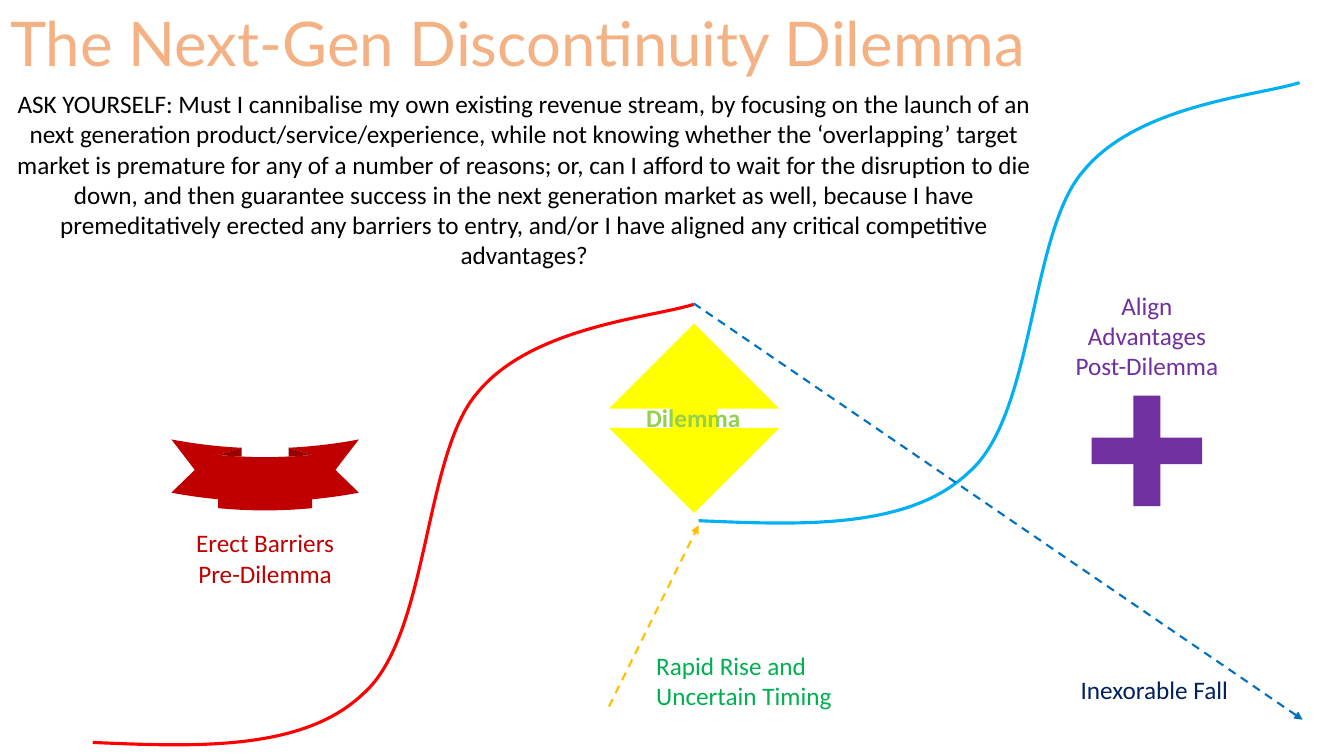
from collections import namedtuple

from lxml import etree
from pptx import Presentation
from pptx.dml.color import RGBColor
from pptx.enum.dml import MSO_LINE
from pptx.enum.shapes import MSO_CONNECTOR, MSO_SHAPE
from pptx.enum.text import MSO_ANCHOR, PP_ALIGN
from pptx.oxml.ns import qn
from pptx.util import Inches, Pt

LEFT, CENTER = PP_ALIGN.LEFT, PP_ALIGN.CENTER
TOP = MSO_ANCHOR.TOP
DASH = MSO_LINE.DASH
STRAIGHT = MSO_CONNECTOR.STRAIGHT
DOUBLE_ARROW = MSO_SHAPE.UP_DOWN_ARROW
PLUS = MSO_SHAPE.CROSS
RIBBON = MSO_SHAPE.CURVED_DOWN_RIBBON
TITLE_ONLY = 5

COLORS = {
    "title": "F4B183", "question": "000000", "current": "FF0000", "next": "00B0F0",
    "rise": "FFC000", "rise_label": "00B050", "fall": "0070C0", "fall_label": "002060",
    "dilemma": "FFFF00", "dilemma_label": "92D050", "advantages": "7030A0", "barriers": "C00000",
}
QUESTION = (
    "ASK YOURSELF: Must I cannibalise my own existing revenue stream, by focusing on the "
    "launch of an next generation product/service/experience, while not knowing whether the "
    "‘overlapping’ target market is premature for any of a number of reasons; or, can I afford "
    "to wait for the disruption to die down, and then guarantee success in the next generation "
    "market as well, because I have premeditatively erected any barriers to entry, and/or I have "
    "aligned any critical competitive advantages?"
)
# Start point, then two control points and an end point per segment, as shares of the box
S_CURVE = [
    (0, 0.99), (0.17, 1), (0.35, 1.01), (0.45, 0.88), (0.56, 0.75),
    (0.55, 0.34), (0.64, 0.2), (0.73, 0.05), (0.93, 0.03), (1, 0),
]


class Box(namedtuple("Box", "left top width height")):
    def point(self, across, down):
        return (Inches(self.left + across * self.width), Inches(self.top + down * self.height))

    def inner(self, left, top, width, height):
        """Return an inner box given as shares of this one."""
        return Box(self.left + left * self.width, self.top + top * self.height,
                   width * self.width, height * self.height)

    def lengths(self):
        return [Inches(length) for length in self]


def color(name):
    return RGBColor.from_string(COLORS[name])


def write(shape, text, name, size=18, font="Calibri", align=LEFT, bold=False):
    frame = shape.text_frame
    frame.word_wrap = True
    frame.vertical_anchor = TOP
    paragraph = frame.paragraphs[0]
    paragraph.alignment = align
    paragraph.line_spacing = 1.0
    run = paragraph.add_run()
    run.text = text
    run.font.size = Pt(size)
    run.font.name = font
    run.font.bold = bold
    run.font.color.rgb = color(name)


def add_label(slide, box, text, name, **text_format):
    write(slide.shapes.add_textbox(*box.lengths()), text, name, **text_format)


def add_symbol(slide, box, preset, name, adjustments=()):
    shape = slide.shapes.add_shape(preset, *box.lengths())
    shape.shadow.inherit = False
    shape.fill.solid()
    shape.fill.fore_color.rgb = color(name)
    shape.line.fill.background()
    for index, value in enumerate(adjustments):
        shape.adjustments[index] = value


def add_header(slide, box):
    title = slide.shapes.title
    title.left, title.top, title.width, title.height = box.inner(0, 0, 1, 0.3).lengths()
    write(title, "The Next-Gen Discontinuity Dilemma", "title", size=44, font="Lato")
    add_label(slide, box.inner(0, 0.3, 0.78, 0.7), QUESTION, "question", align=CENTER)


def add_s_curve(slide, box, name):
    points = [box.point(*share) for share in S_CURVE]
    builder = slide.shapes.build_freeform(*points[0])
    builder.add_line_segments(points[1:], close=False)
    curve = builder.convert_to_shape()
    curve.shadow.inherit = False
    curve.fill.background()
    curve.line.color.rgb = color(name)
    curve.line.width = Pt(2.25)
    # Every three straight segments become one cubic Bézier segment
    segments = list(curve.element.iter(qn("a:lnTo")))
    outline = segments[0].getparent()
    for first in range(0, len(segments), 3):
        bezier = etree.SubElement(outline, qn("a:cubicBezTo"))
        for segment in segments[first:first + 3]:
            bezier.append(segment[0])
            outline.remove(segment)


def add_dashed_arrow(slide, box, name, rising=False):
    """Draw an arrow across the box, from its left edge to its right edge."""
    start, end = (1, 0) if rising else (0, 1)
    arrow = slide.shapes.add_connector(STRAIGHT, *box.point(0, start), *box.point(1, end))
    arrow.line.color.rgb = color(name)
    arrow.line.width = Pt(1.5)
    arrow.line.dash_style = DASH
    outline = arrow.element.find(".//" + qn("a:ln"))
    etree.SubElement(outline, qn("a:tailEnd"), type="triangle")
    etree.SubElement(outline.getparent(), qn("a:effectLst"))


def add_dilemma(slide, box):
    add_symbol(slide, box, DOUBLE_ARROW, "dilemma", (0.41, 0.27))
    add_label(slide, box.inner(0.16, 0.39, 0.69, 0.21), "Dilemma", "dilemma_label", bold=True)


def add_advantages(slide, box):
    add_symbol(slide, box.inner(0.19, 0.5, 0.62, 0.5), PLUS, "advantages", (0.38,))
    add_label(slide, box.inner(0, 0, 1, 0.46), "Align Advantages Post-Dilemma",
              "advantages", align=CENTER)


def add_barriers(slide, box):
    add_symbol(slide, box.inner(0, 0, 1, 0.46), RIBBON, "barriers")
    add_label(slide, box.inner(0, 0.54, 1, 0.46), "Erect Barriers Pre-Dilemma",
              "barriers", align=CENTER)


def main():
    presentation = Presentation()
    presentation.slide_width, presentation.slide_height = Inches(13.33), Inches(7.5)
    slide = presentation.slides.add_slide(presentation.slide_layouts[TITLE_ONLY])
    add_header(slide, Box(0, 0, 13.33, 2.76))
    add_s_curve(slide, Box(6.93, 0.82, 5.96, 4.39), "next")
    add_s_curve(slide, Box(0.92, 3.02, 5.96, 4.39), "current")
    add_dashed_arrow(slide, Box(6.04, 5.21, 0.89, 1.8), "rise", rising=True)
    add_dashed_arrow(slide, Box(6.88, 3.01, 6.04, 4.13), "fall")
    add_label(slide, Box(6.41, 6.4, 1.94, 0.71), "Rapid Rise and Uncertain Timing", "rise_label")
    add_label(slide, Box(10.62, 6.64, 1.74, 0.4), "Inexorable Fall", "fall_label")
    add_dilemma(slide, Box(6.04, 3.21, 1.69, 1.88))
    add_advantages(slide, Box(10.49, 2.83, 1.77, 2.19))
    add_barriers(slide, Box(1.7, 4.36, 1.86, 1.53))
    presentation.save("out.pptx")


if __name__ == "__main__":
    main()
